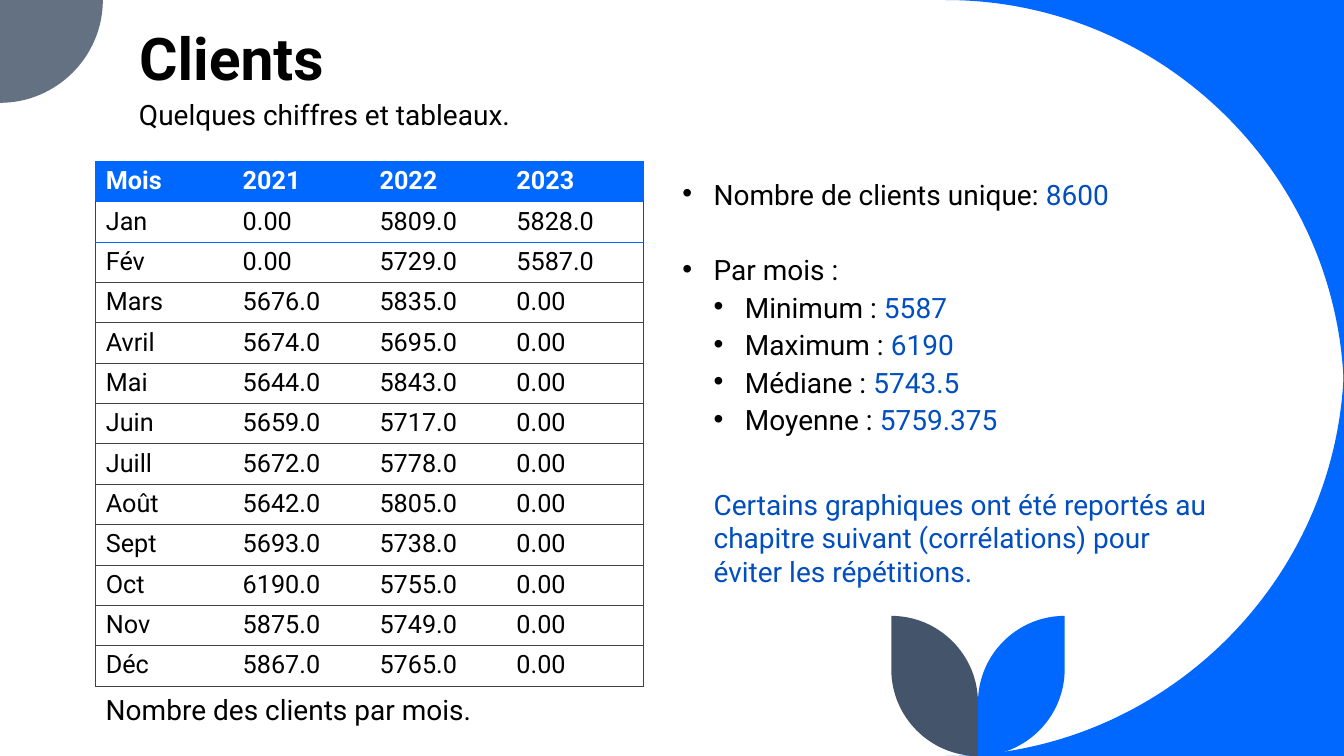
import pptx
import pptx.dml.color
import pptx.enum.text
import pptx.oxml
import pptx.oxml.ns
import pptx.util

WIDE, HIGH = 13.33, 7.5
BLUE, SLATE, GREY = "0068FF", "44546A", "637183"
INK, WHITE, ACCENT, RULE = "000000", "FFFFFF", "004EBF", "404040"
FONT = "Roboto"
BEND = 0.55  # control point distance of a quarter circle, as a share of the radius
MONTHS = ["Jan", "Fév", "Mars", "Avril", "Mai", "Juin",
          "Juill", "Août", "Sept", "Oct", "Nov", "Déc"]
YEARS = {
    "2021": [0, 0, 5676, 5674, 5644, 5659, 5672, 5642, 5693, 6190, 5875, 5867],
    "2022": [5809, 5729, 5835, 5695, 5843, 5717, 5778, 5805, 5738, 5755, 5749, 5765],
    "2023": [5828, 5587] + [0] * 10,
}
# Each fact: label, value, level, space before in points
FACTS = [
    ("Nombre de clients unique: ", "8600", 1, 10),
    ("Par mois :", "", 1, 37),
    ("Minimum :", " 5587", 2, 10),
    ("Maximum : ", "6190", 2, 10),
    ("Médiane : ", "5743.5", 2, 10),
    ("Moyenne : ", "5759.375", 2, 10),
]
NOTE = ("Certains graphiques ont été reportés au chapitre suivant "
        "(corrélations) pour éviter les répétitions.")


def inch(size):
    return pptx.util.Inches(size)


def color(code):
    return pptx.dml.color.RGBColor.from_string(code)


def format_all(item, values):
    for name, value in values.items():
        setattr(item, name, value)


def add_run(para, text, size=20, ink=INK, bold=False):
    run = para.add_run()
    run.text = text
    format_all(run.font, {"name": FONT, "size": pptx.util.Pt(size), "bold": bold})
    run.font.color.rgb = color(ink)


def space(para, line, before=10):
    format_all(para, {"line_spacing": line, "space_before": pptx.util.Pt(before),
                      "alignment": pptx.enum.text.PP_ALIGN.LEFT})


def arc(start, corner, end):
    """Return a quarter circle's two control points, drawn to corner, and its end."""
    near, far = ([(1 - BEND) * a + BEND * b for a, b in zip(tip, corner)]
                 for tip in (start, end))
    return [near, far, end]


def add_form(slide, start, parts, fill):
    """Draw an outline whose parts hold one point for a line, three for a curve."""
    spots = [(inch(x), inch(y)) for part in parts for x, y in part]
    build = slide.shapes.build_freeform(inch(start[0]), inch(start[1]))
    build.add_line_segments(spots, close=True)
    form = build.convert_to_shape()
    lines = form._element.findall(".//" + pptx.oxml.ns.qn("a:lnTo"))
    for part in parts:
        group, lines = lines[:len(part)], lines[len(part):]
        if len(group) == 3:
            curve = pptx.oxml.parse_xml(
                f'<a:cubicBezTo {pptx.oxml.ns.nsdecls("a")}/>')
            group[0].addprevious(curve)
            for line in group:
                curve.append(line[0])
                line.getparent().remove(line)
    form.shadow.inherit = False
    form.fill.solid()
    form.fill.fore_color.rgb = color(fill)
    form.line.fill.background()


def add_corner(slide, start, corner, end, tip, fill):
    add_form(slide, start, [arc(start, corner, end), [tip]], fill)


def add_decor(slide):
    size, dot = 3.95, 1.02
    left = WIDE - size
    for rim, end in ((0, size), (HIGH, HIGH - size)):
        add_corner(slide, (left, rim), (WIDE, rim), (WIDE, end), (WIDE, rim), BLUE)
    add_corner(slide, (dot, 0), (dot, dot), (0, dot), (0, 0), GREY)
    stem, leaf, top = 9.7, 0.86, 6.11
    for side, fill in ((1, BLUE), (-1, SLATE)):
        out = stem + side * leaf
        add_form(slide, (out, top), [
            [(out, HIGH - leaf)],
            arc((out, HIGH - leaf), (out, HIGH), (stem, HIGH)),
            [(stem, top + leaf)],
            arc((stem, top + leaf), (stem, top), (out, top)),
        ], fill)


def set_title(slide):
    title = slide.shapes.title
    format_all(title, {"left": inch(1.28), "top": inch(0.12),
                       "width": inch(10.5), "height": inch(0.84)})
    format_all(title.text_frame, {
        "vertical_anchor": pptx.enum.text.MSO_ANCHOR.BOTTOM,
        "auto_size": pptx.enum.text.MSO_AUTO_SIZE.NONE, "word_wrap": True})
    para = title.text_frame.paragraphs[0]
    space(para, 0.8, 0)
    add_run(para, "Clients", 42, bold=True)


def add_box(slide, left, top, width, height):
    box = slide.shapes.add_textbox(inch(left), inch(top), inch(width), inch(height))
    box.text_frame.word_wrap = True
    return box.text_frame


def add_line(slide, text, left, top):
    para = add_box(slide, left, top, 5.85, 0.64).paragraphs[0]
    space(para, 0.9)
    add_run(para, text)


def indent(para, left, hang, mark=""):
    """Set the indents in inches, and a bullet if mark is given."""
    props = para._p.get_or_add_pPr()
    props.set("marL", str(inch(left)))
    props.set("indent", str(inch(hang)))
    if mark:
        names = pptx.oxml.ns.nsdecls("a")
        for tag in (f'buFont {names} typeface="Arial"', f'buChar {names} char="{mark}"'):
            props.append(pptx.oxml.parse_xml(f"<a:{tag}/>"))


def add_facts(slide):
    frame = add_box(slide, 6.67, 1.8, 5.54, 4.11)
    step = 0.31
    para = frame.paragraphs[0]
    for label, value, level, before in FACTS:
        space(para, 0.7, before)
        indent(para, step * level, -step, "•")
        add_run(para, label)
        if value:
            add_run(para, value, ink=ACCENT)
        para = frame.add_paragraph()
    space(para, 1.0, 37)
    indent(para, step, 0)
    add_run(para, NOTE, ink=ACCENT)


def set_edges(cell, edges):
    """Draw the cell's borders; edges maps L, R, T, B to a colour or None."""
    props = cell._tc.get_or_add_tcPr()
    for place, (side, ink) in enumerate(edges.items()):
        paint = (f'<a:solidFill><a:srgbClr val="{ink}"/></a:solidFill>'
                 if ink else "<a:noFill/>")
        props.insert(place, pptx.oxml.parse_xml(
            f'<a:ln{side} {pptx.oxml.ns.nsdecls("a")} w="6350">{paint}</a:ln{side}>'))


def add_grid(slide):
    rows = [["Mois", *YEARS]]
    for month, *counts in zip(MONTHS, *YEARS.values()):
        rows.append([month] + [f"{count:.1f}" if count else "0.00" for count in counts])
    high, wide = len(rows), len(rows[0])
    table = slide.shapes.add_table(high, wide, inch(0.95), inch(1.6),
                                   inch(5.43), inch(5.16)).table
    table.horz_banding = False
    inks = [BLUE] * 3 + [RULE] * (high - 2)
    for r, texts in enumerate(rows):
        head = r == 0
        rim = BLUE if head else RULE
        for c, text in enumerate(texts):
            cell = table.cell(r, c)
            cell.fill.solid()
            cell.fill.fore_color.rgb = color(BLUE if head else WHITE)
            add_run(cell.text_frame.paragraphs[0], text, 18, WHITE if head else INK, head)
            set_edges(cell, {"L": rim if c == 0 else None,
                             "R": rim if c == wide - 1 else None,
                             "T": inks[r], "B": inks[r + 1]})


def main():
    deck = pptx.Presentation()
    format_all(deck, {"slide_width": inch(WIDE), "slide_height": inch(HIGH)})
    slide = deck.slides.add_slide(deck.slide_layouts[5])
    add_decor(slide)
    set_title(slide)
    add_line(slide, "Quelques chiffres et tableaux.", 1.28, 0.96)
    add_grid(slide)
    add_facts(slide)
    add_line(slide, "Nombre des clients par mois.", 0.95, 6.86)
    deck.save("out.pptx")


if __name__ == "__main__":
    main()
